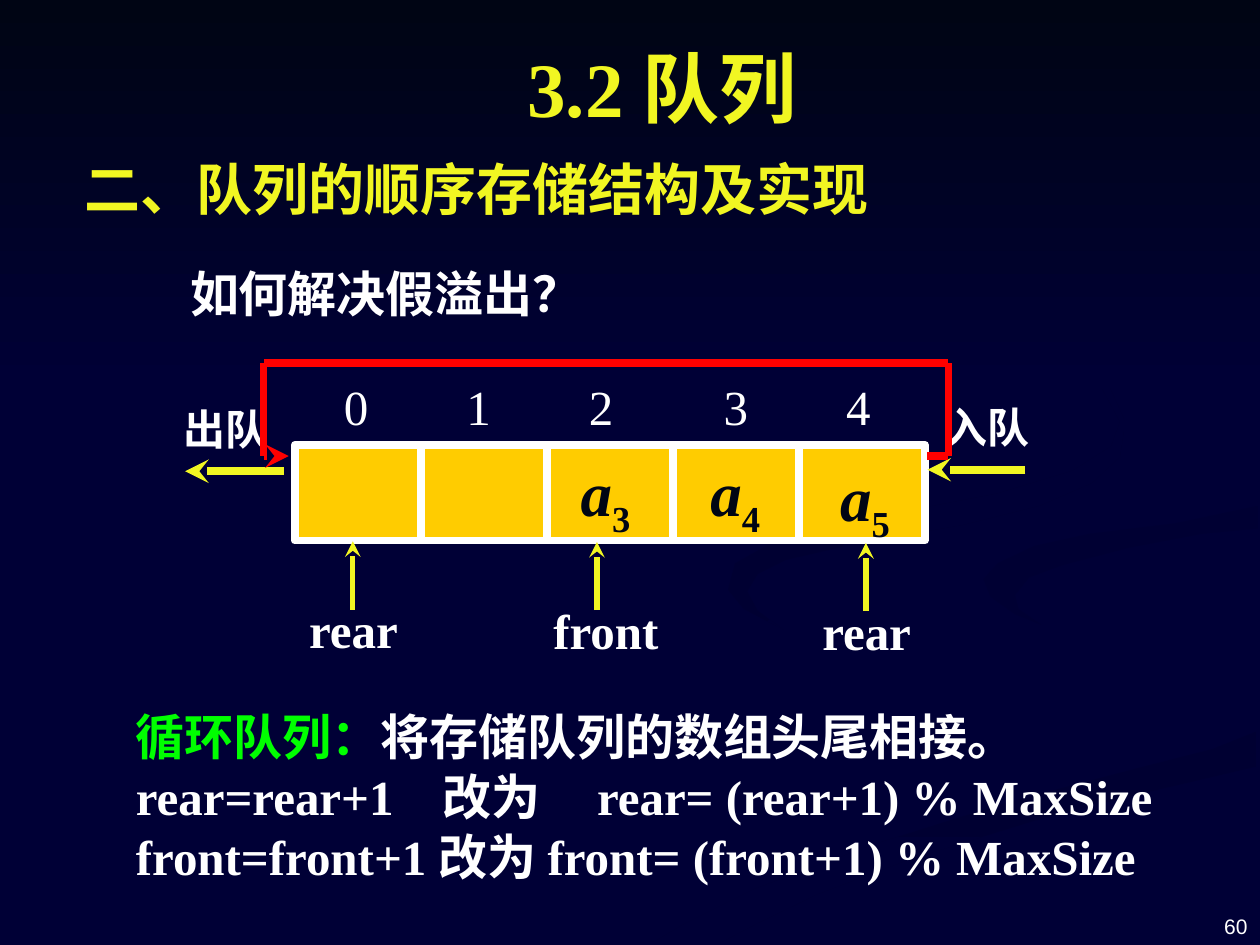
from lxml.etree import SubElement
from pptx import Presentation
from pptx.dml.color import RGBColor
from pptx.enum.shapes import MSO_CONNECTOR, MSO_SHAPE
from pptx.enum.text import MSO_ANCHOR, MSO_AUTO_SIZE, PP_ALIGN
from pptx.oxml.ns import qn
from pptx.util import Pt

NAVY, INK, YELLOW, WHITE = "000036", "000514", "F1F622", "FFFFFF"
GOLD, RED, GREEN = "FFCC00", "FF0000", "00FF00"
SERIF, SANS, CJK = "Times New Roman", "Arial", "Noto Sans CJK SC"


def rgb(value):
    return RGBColor.from_string(value)


class Deck:
    def __init__(self):
        self.prs = Presentation()
        self.prs.slide_width, self.prs.slide_height = Pt(720), Pt(540)
        self.s = self.prs.slides.add_slide(self.prs.slide_layouts[6])
        fill = self.s.background.fill
        fill.solid()
        fill.fore_color.rgb = rgb(NAVY)

    def gradient(self, sp, start, end, angle):
        """Fill without outline; the angle runs clockwise."""
        sp.shadow.inherit = False
        sp.line.fill.background()
        sp.fill.gradient()
        sp.fill.gradient_angle = -angle % 360
        for stop, color, place in zip(sp.fill.gradient_stops, (start, end), (0, 1)):
            stop.color.rgb = rgb(color)
            stop.position = place

    def ribbon(self, points, start, end, angle):
        builder = self.s.shapes.build_freeform(*points[0], scale=12700.0)
        builder.add_line_segments(points[1:], close=True)
        self.gradient(builder.convert_to_shape(), start, end, angle)

    def band(self, x, y, w, h, start, end):
        sp = self.s.shapes.add_shape(MSO_SHAPE.RECTANGLE, Pt(x), Pt(y), Pt(w), Pt(h))
        self.gradient(sp, start, end, 90)

    def cell(self, x, y, w, h):
        sp = self.s.shapes.add_shape(MSO_SHAPE.RECTANGLE, Pt(x), Pt(y), Pt(w), Pt(h))
        sp.shadow.inherit = False
        sp.fill.solid()
        sp.fill.fore_color.rgb = rgb(GOLD)
        sp.line.color.rgb = rgb(WHITE)
        sp.line.width = Pt(4.5)

    def line(self, x1, y1, x2, y2, color=YELLOW, width=4.5, arrow=True):
        c = self.s.shapes.add_connector(
            MSO_CONNECTOR.STRAIGHT, Pt(x1), Pt(y1), Pt(x2), Pt(y2))
        c.line.color.rgb = rgb(color)
        c.line.width = Pt(width)
        if arrow:
            SubElement(c.line._get_or_add_ln(), qn("a:tailEnd"), type="stealth")
        SubElement(c._element.spPr, qn("a:effectLst"))

    def text(self, x, y, w, h, paragraphs, size=28, color=WHITE, font=SERIF, bold=True,
             align=PP_ALIGN.LEFT, anchor=MSO_ANCHOR.TOP, grow=True, gap=0, spacing=None):
        """Each paragraph is (runs, tab stops); each run is (text, overrides)."""
        tf = self.s.shapes.add_textbox(Pt(x), Pt(y), Pt(w), Pt(h)).text_frame
        tf.word_wrap = True
        tf.auto_size = MSO_AUTO_SIZE.SHAPE_TO_FIT_TEXT if grow else MSO_AUTO_SIZE.NONE
        tf.vertical_anchor = anchor
        for i, (runs, tabs) in enumerate(paragraphs):
            p = tf.add_paragraph() if i else tf.paragraphs[0]
            p.alignment = align
            if i:
                p.space_before = Pt(gap)
            if spacing:
                p.line_spacing = spacing
            if tabs:
                tab_list = SubElement(p._p.get_or_add_pPr(), qn("a:tabLst"))
                for tab in tabs:
                    SubElement(tab_list, qn("a:tab"), pos=str(Pt(tab)), algn="l")
            for words, style in runs:
                r = p.add_run()
                r.text = words
                r.font.name, r.font.size, r.font.bold = font, Pt(size), bold
                r.font.italic = style.get("italic", False)
                r.font.color.rgb = rgb(style.get("color", color))
                if "baseline" in style:
                    r.font._element.set("baseline", str(style["baseline"]))

    def label(self, x, y, w, h, words, **style):
        self.text(x, y, w, h, [([(words, {})], ())], **style)

    def element(self, x, y, index):
        runs = [("a", {"italic": True}), (index, {"baseline": -25000})]
        self.text(x, y, 46, 50.4, [(runs, ())], size=36, color=INK)

    def pointer(self, x, y, words):
        self.line(x, y, x, y - 39, width=3)
        self.label(x - 32, y - 9, 81, 41, words)


def draw_backdrop(d):
    d.ribbon([(562, 398), (526, 384), (476, 370), (442, 357), (423, 346), (414, 334),
              (410, 340), (418, 348), (440, 359), (502, 378), (541, 391), (562, 400),
              (566, 407), (562, 417), (539, 428), (503, 438), (417, 460), (330, 485),
              (243, 523), (216, 539), (260, 539), (310, 514), (359, 495), (428, 472),
              (503, 453), (544, 443), (566, 433), (575, 423), (573, 409)],
             NAVY, "000034", 0)
    d.ribbon([(679, 410), (670, 398), (652, 389), (612, 378), (570, 367), (546, 358),
              (528, 348), (521, 334), (523, 345), (532, 356), (551, 369), (587, 382),
              (625, 392), (648, 401), (659, 411), (660, 421), (644, 436), (666, 427),
              (677, 418)], NAVY, "000034", 45)
    d.ribbon([(374, 538), (362, 539), (411, 539), (432, 528), (467, 511), (520, 491),
              (591, 469), (650, 454), (718, 438), (718, 418), (693, 428), (650, 439),
              (574, 459), (501, 482), (431, 508), (391, 528)], "000032", NAVY, 90)
    d.ribbon([(562, 331), (566, 341), (580, 351), (595, 357), (582, 348), (580, 340),
              (588, 330), (607, 323), (645, 313), (687, 305), (719, 302), (719, 289),
              (672, 299), (623, 305), (591, 312), (570, 322)], "000033", NAVY, 45)
    d.ribbon([(492, 310), (550, 300), (594, 289), (624, 276), (640, 261), (643, 241),
              (634, 221), (607, 198), (575, 180), (549, 168), (595, 192), (626, 215),
              (640, 241), (635, 255), (613, 269), (570, 282), (487, 298), (443, 309),
              (420, 322), (416, 337), (425, 348), (448, 360), (433, 349), (427, 338),
              (433, 328), (449, 320)], "000032", NAVY, 45)
    d.band(0, 0, 720, 221.8, INK, NAVY)


def draw_queue(d):
    left, top, side = 168.5, 254.2, 72
    for i in range(5):
        d.cell(left + i * side, top, side, 54.7)
    d.text(189.4, 211.7, 337, 41, [([("0\t1\t2\t3\t4", {})], (70, 140, 217, 287))],
           bold=False)
    d.line(586, 268.4, 530, 268.4)
    d.label(533, 226.1, 77.8, 36, "入队", size=24)
    d.line(162, 269.3, 105.8, 269.3)
    d.label(98, 226.8, 72, 36, "出队", size=24)
    for x, y, index in ((324.7, 255.6, "3"), (398.9, 255.6, "4"), (473, 258.5, "5")):
        d.element(x, y, index)
    for x, y, words in ((201.6, 348.3, "rear"), (341.1, 348.7, "front"),
                        (494.8, 349.3, "rear")):
        d.pointer(x, y, words)
    loop = [(530, 260.6), (542, 260.6), (542, 207.4), (150.6, 207.4), (150.6, 260.6),
            (165, 260.6)]
    for i, (start, end) in enumerate(zip(loop, loop[1:])):
        d.line(*start, *end, color=RED, arrow=i == len(loop) - 2)


def main():
    d = Deck()
    draw_backdrop(d)
    d.label(552, 502.5, 168, 37.5, "60", size=12, font=SANS, bold=False,
            align=PP_ALIGN.RIGHT, anchor=MSO_ANCHOR.BOTTOM, grow=False)
    d.text(70.6, 400.3, 631, 124.6, [
        ([("循环队列：", {"color": GREEN}), ("将存储队列的数组头尾相接。", {})], ()),
        ([("rear=rear+1\t改为\trear= (rear+1) % MaxSize", {})], (175, 263.5)),
        ([("front=front+1 改为 front= (front+1) % MaxSize", {})], ()),
    ], gap=0.6)
    d.label(101.5, 146.9, 475, 41, "如何解决假溢出？")
    draw_queue(d)
    d.label(41, 89.3, 486, 42.5, "二、队列的顺序存储结构及实现", size=32,
            color=YELLOW, font=CJK, spacing=0.9)
    d.label(83.5, 31.7, 589.7, 36, "3.2 队列", size=44, color=YELLOW,
            align=PP_ALIGN.CENTER, anchor=MSO_ANCHOR.MIDDLE, grow=False)
    d.prs.save("out.pptx")


if __name__ == "__main__":
    main()
